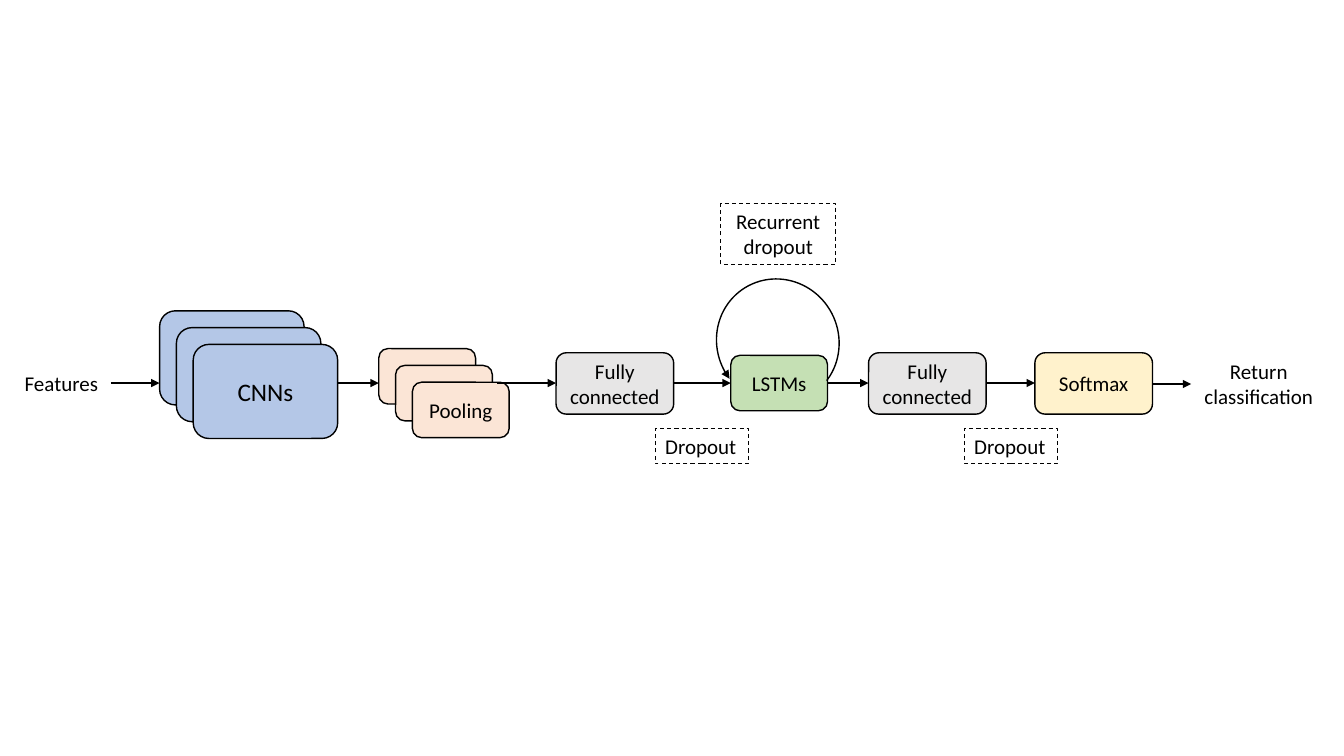
from lxml import etree
from pptx import Presentation
from pptx import util as u
from pptx.dml.color import RGBColor
from pptx.enum import dml, shapes, text
from pptx.oxml import ns

BLACK = RGBColor(0x00, 0x00, 0x00)
BLUE = RGBColor(0xB4, 0xC7, 0xE7)
PEACH = RGBColor(0xFB, 0xE5, 0xD6)
GREEN = RGBColor(0xC5, 0xE0, 0xB4)
GREY = RGBColor(0xE7, 0xE6, 0xE6)
CREAM = RGBColor(0xFF, 0xF2, 0xCC)

# The slide is a grid of 80 columns by 45 rows
WIDE, HIGH = u.Inches(13.333), u.Inches(7.5)
COLS, ROWS = 80, 45
AXIS = 22.8


def place(x, y):
    return int(WIDE * x / COLS), int(HIGH * y / ROWS)


def write(shape, words, size=15, align=text.PP_ALIGN.CENTER,
          anchor=text.MSO_ANCHOR.TOP):
    frame = shape.text_frame
    frame.word_wrap = True
    frame.vertical_anchor = anchor
    line = frame.paragraphs[0]
    line.text = words
    line.alignment = align
    for run in line.runs:
        run.font.name = "Calibri"
        run.font.size = u.Pt(size)
        run.font.color.rgb = BLACK


def stroke(shape, width=1, end=None):
    shape.line.color.rgb = BLACK
    shape.line.width = u.Pt(width)
    if end:
        edge = shape._element.spPr.find(ns.qn("a:ln"))
        etree.SubElement(edge, ns.qn("a:" + end), type="triangle")


def draw(slide, kind, x, y, w, h, fill=None):
    shape = slide.shapes.add_shape(kind, *place(x, y), *place(w, h))
    shape.shadow.inherit = False
    if fill is None:
        shape.fill.background()
    else:
        shape.fill.solid()
        shape.fill.fore_color.rgb = fill
    return shape


def block(slide, x, y, w, h, fill, words="", size=15):
    shape = draw(slide, shapes.MSO_SHAPE.ROUNDED_RECTANGLE, x, y, w, h, fill)
    stroke(shape)
    if words:
        write(shape, words, size, anchor=text.MSO_ANCHOR.MIDDLE)


def stack(slide, x, y, w, h, fill, words, size):
    # Three layers, each one cell further right and down
    for step, label in enumerate(("", "", words)):
        block(slide, x + step, y + step, w, h, fill, label, size)


def note(slide, x, y, w, h, words, align):
    shape = draw(slide, shapes.MSO_SHAPE.RECTANGLE, x, y, w, h)
    stroke(shape, 0.75)
    shape.line.dash_style = dml.MSO_LINE.DASH
    write(shape, words, align=align)


def label(slide, x, y, w, h, words):
    write(slide.shapes.add_textbox(*place(x, y), *place(w, h)), words)


def arrow(slide, start, stop, y=AXIS):
    line = slide.shapes.add_connector(
        shapes.MSO_CONNECTOR.STRAIGHT, *place(start, y), *place(stop, y))
    stroke(line, end="tailEnd")
    etree.SubElement(line._element.spPr, ns.qn("a:effectLst"))


def loop(slide, x, y, w, h):
    arc = draw(slide, shapes.MSO_SHAPE.ARC, x, y, w, h)
    arc.adjustments[0] = 155.88
    arc.adjustments[1] = 93.7
    arc.rotation = 242.5
    stroke(arc, end="headEnd")


def main():
    deck = Presentation()
    deck.slide_width, deck.slide_height = WIDE, HIGH
    slide = deck.slides.add_slide(deck.slide_layouts[6])

    # Layers of the network
    stack(slide, 9.5, 18.5, 8.6, 5.6, BLUE, "CNNs", 18)
    stack(slide, 22.55, 20.75, 5.76, 3.3, PEACH, "Pooling", 15)
    block(slide, 43.5, 21.15, 5.76, 3.3, GREEN, "LSTMs")
    for x, fill, words in ((33.1, GREY, "Fully\vconnected"),
                           (51.7, GREY, "Fully\vconnected"),
                           (61.6, CREAM, "Softmax")):
        block(slide, x, 21, 7, 3.65, fill, words)

    # Data flow
    for start, stop in ((6.6, 9.5), (20.05, 22.55), (29.6, 33.1),
                        (40.05, 43.5), (49.25, 51.7), (58.7, 61.6)):
        arrow(slide, start, stop)
    arrow(slide, 68.65, 70.9, AXIS + 0.06)
    loop(slide, 42.55, 16.7, 7.5, 7.25)

    # Input and output
    label(slide, -0.35, 21.75, 8, 2.1, "Features")
    label(slide, 70.9, 21.05, 8.05, 3.65, "Return classification")

    # Dropout notes
    for x in (39, 57.4):
        note(slide, x, 25.5, 5.55, 2.1, "Dropout", text.PP_ALIGN.LEFT)
    note(slide, 42.9, 12.1, 6.85, 3.65, "Recurrent dropout",
         text.PP_ALIGN.CENTER)

    deck.save("out.pptx")


main()
